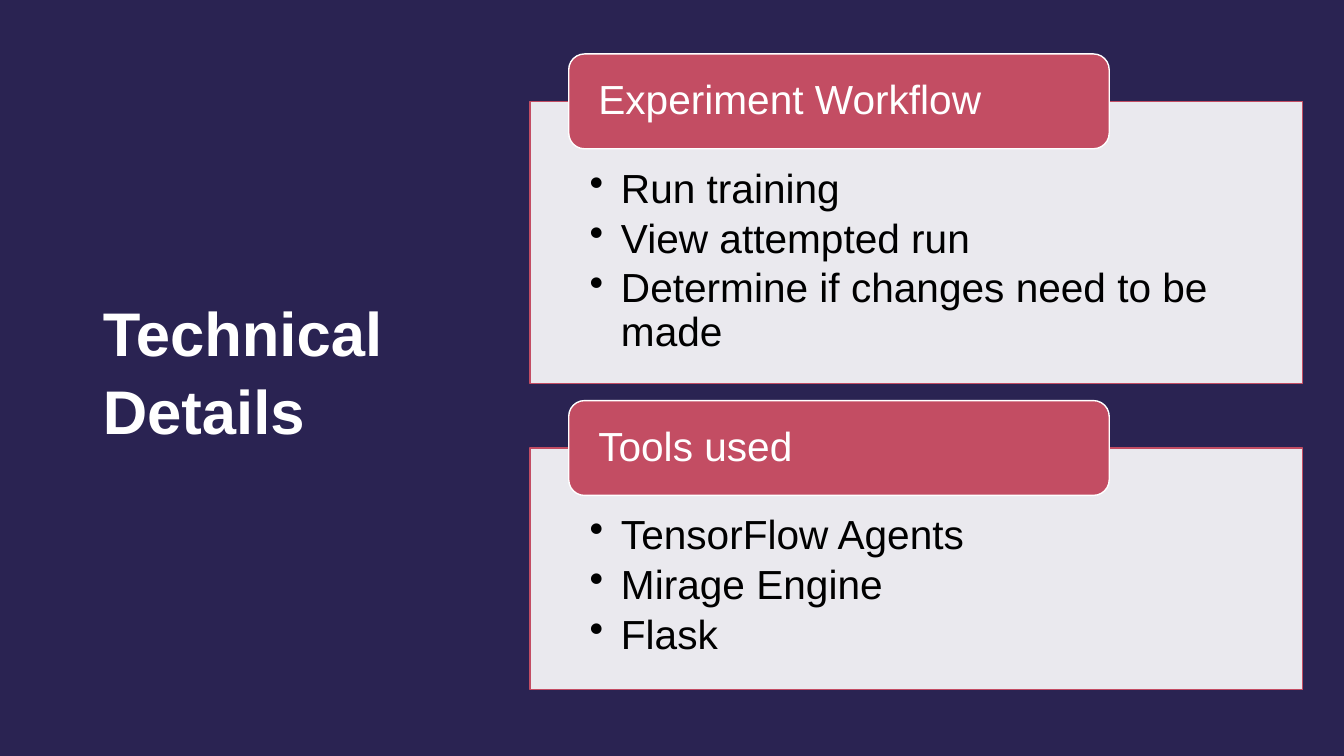
from dataclasses import dataclass

import pptx
import pptx.dml.color
import pptx.enum.shapes
import pptx.enum.text
import pptx.oxml.ns
import pptx.shapes.autoshape
import pptx.slide
import pptx.text.text
import pptx.util
from lxml import etree

Cm = pptx.util.Cm
Pt = pptx.util.Pt
RGB = pptx.dml.color.RGBColor
Anchor = pptx.enum.text.MSO_ANCHOR
Preset = pptx.enum.shapes.MSO_SHAPE


@dataclass(frozen=True)
class Theme:
    font: str = "Arial"
    night: RGB = RGB(0x2A, 0x23, 0x52)
    rose: RGB = RGB(0xC3, 0x4D, 0x63)
    white: RGB = RGB(0xFF, 0xFF, 0xFF)
    black: RGB = RGB(0x00, 0x00, 0x00)
    title_size: float = 44
    body_size: float = 29
    outline: float = 1
    panel_opacity: int = 90


@dataclass(frozen=True)
class Topic:
    heading: str
    points: tuple[str, ...]
    panel_height: float


THEME = Theme()
TOPICS = (
    Topic("Experiment Workflow",
          ("Run training", "View attempted run", "Determine if changes need to be made"), 7.11),
    Topic("Tools used", ("TensorFlow Agents", "Mirage Engine", "Flask"), 6.09),
)

# Centimetres
FIRST_TOP = 1.36
PANEL_LEFT, PANEL_WIDTH = 13.36, 19.46
HEADING_LEFT, HEADING_WIDTH = PANEL_LEFT + 0.05 * PANEL_WIDTH, 0.7 * PANEL_WIDTH
HEADING_HEIGHT = 2.39
TOPIC_GAP = 0.43
BULLET_INDENT = 0.79


def add_bullet(paragraph: pptx.text.text._Paragraph) -> None:
    paragraph.level = 1
    properties = paragraph._p.get_or_add_pPr()
    properties.set("marL", str(Cm(BULLET_INDENT)))
    properties.set("indent", str(-Cm(BULLET_INDENT)))
    bullet = etree.SubElement(properties, pptx.oxml.ns.qn("a:buChar"))
    bullet.set("char", "•")


def write(frame: pptx.text.text.TextFrame, lines: tuple[str, ...], *, size: float, color: RGB,
          bold: bool = False, anchor: Anchor = Anchor.MIDDLE, spacing: float = 0.9,
          after: float = 0, bulleted: bool = False,
          insets: tuple[float, float, float, float] = (0.25, 0.13, 0.25, 0.13)) -> None:
    """Fill a frame with left-aligned paragraphs; insets run left, top, right, bottom in cm."""
    frame.word_wrap = True
    frame.auto_size = pptx.enum.text.MSO_AUTO_SIZE.NONE
    frame.vertical_anchor = anchor
    (frame.margin_left, frame.margin_top,
     frame.margin_right, frame.margin_bottom) = map(Cm, insets)
    for index, line in enumerate(lines):
        paragraph = frame.add_paragraph() if index else frame.paragraphs[0]
        paragraph.alignment = pptx.enum.text.PP_ALIGN.LEFT
        paragraph.line_spacing = spacing
        paragraph.space_before = Pt(0)
        paragraph.space_after = Pt(after)
        if bulleted:
            add_bullet(paragraph)
        run = paragraph.add_run()
        run.text = line
        run.font.name = THEME.font
        run.font.size = Pt(size)
        run.font.bold = bold
        run.font.color.rgb = color


def add_box(slide: pptx.slide.Slide, preset: Preset, left: float, top: float, width: float,
            height: float, fill: RGB, line: RGB) -> pptx.shapes.autoshape.Shape:
    box = slide.shapes.add_shape(preset, Cm(left), Cm(top), Cm(width), Cm(height))
    box.shadow.inherit = False
    box.fill.solid()
    box.fill.fore_color.rgb = fill
    box.line.color.rgb = line
    box.line.width = Pt(THEME.outline)
    return box


def set_opacity(box: pptx.shapes.autoshape.Shape, percent: int) -> None:
    color = box._element.spPr.find(pptx.oxml.ns.qn("a:solidFill"))[0]
    etree.SubElement(color, pptx.oxml.ns.qn("a:alpha")).set("val", str(percent * 1000))


def add_topic(slide: pptx.slide.Slide, topic: Topic, top: float) -> float:
    """Draw a panel with its overlapping heading and return the panel's bottom."""
    panel_top = top + HEADING_HEIGHT / 2
    panel = add_box(slide, Preset.RECTANGLE, PANEL_LEFT, panel_top, PANEL_WIDTH,
                    topic.panel_height, THEME.white, THEME.rose)
    set_opacity(panel, THEME.panel_opacity)
    write(panel.text_frame, topic.points, size=THEME.body_size, color=THEME.black,
          anchor=Anchor.TOP, after=0.15 * THEME.body_size, bulleted=True,
          insets=(1.5, 1.68, 1.5, 0.58))
    heading = add_box(slide, Preset.ROUNDED_RECTANGLE, HEADING_LEFT, top, HEADING_WIDTH,
                      HEADING_HEIGHT, THEME.rose, THEME.white)
    write(heading.text_frame, (topic.heading,), size=THEME.body_size, color=THEME.white,
          insets=(0.63, 0, 0.63, 0))
    return panel_top + topic.panel_height


def main() -> None:
    deck = pptx.Presentation()
    deck.slide_width, deck.slide_height = Cm(33.87), Cm(19.05)
    slide = deck.slides.add_slide(deck.slide_layouts.get_by_name("Title Only"))
    slide.background.fill.solid()
    slide.background.fill.fore_color.rgb = THEME.night

    title = slide.shapes.title
    title.left, title.top, title.width, title.height = map(Cm, (2.34, 1.55, 7.82, 15.49))
    write(title.text_frame, ("Technical Details",), size=THEME.title_size, color=THEME.white,
          bold=True, spacing=1.05)

    top = FIRST_TOP
    for topic in TOPICS:
        top = add_topic(slide, topic, top) + TOPIC_GAP
    deck.save("out.pptx")


if __name__ == "__main__":
    main()
